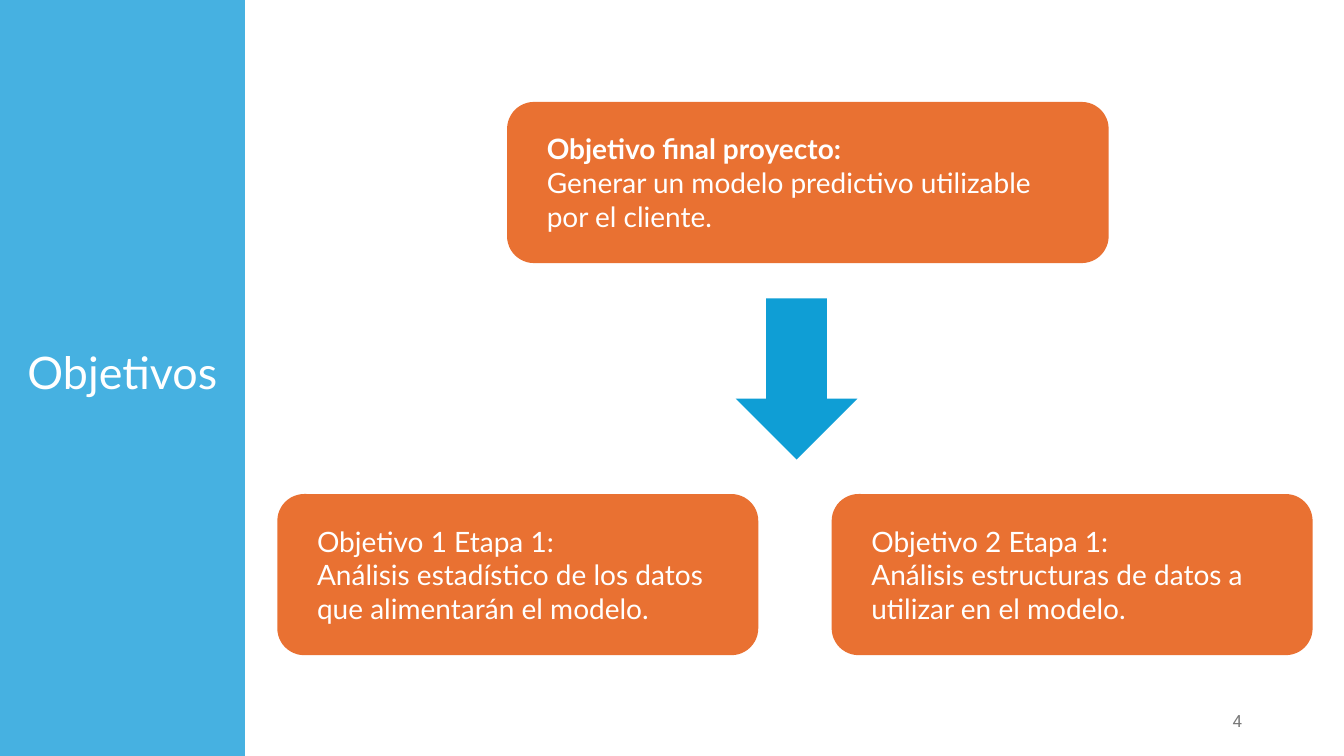
from pptx import Presentation
from pptx.dml.color import RGBColor
from pptx.enum import shapes, text
from pptx.util import Cm, Pt

TITLE = "Objetivos"
PAGE_NUMBER = "4"
WHITE, GREY = "FFFFFF", "797979"
PANEL_BLUE, ARROW_BLUE, ORANGE = "46B1E1", "0F9ED5", "E97132"

# Cards: heading, body, bold heading, left, top, width, text width (cm)
CARDS = [
    ("Objetivo final proyecto:",
     "Generar un modelo predictivo utilizable por el cliente.",
     True, 12.78, 2.57, 15.16, 13.67),
    ("Objetivo 1 Etapa 1:",
     "Análisis estadístico de los datos que alimentarán el modelo.",
     False, 6.99, 12.45, 12.12, 10.92),
    ("Objetivo 2 Etapa 1:",
     "Análisis estructuras de datos a utilizar en el modelo.",
     False, 20.96, 12.45, 12.12, 10.92),
]
SLIDE_W, SLIDE_H = 33.87, 19.05
PANEL_W = 6.17
CARD_H = 4.06
TEXT_DX, TEXT_DY, TEXT_H = 0.75, 0.63, 2.82


def color(hex_code):
    return RGBColor.from_string(hex_code)


def add_block(kind, left, top, width, height, fill):
    block = slide.shapes.add_shape(kind, Cm(left), Cm(top), Cm(width), Cm(height))
    block.shadow.inherit = False
    block.fill.solid()
    block.fill.fore_color.rgb = color(fill)
    block.line.fill.background()
    return block


def write(frame, lines, size=20, font="Lato", ink=WHITE, align=text.PP_ALIGN.LEFT,
          anchor=text.MSO_ANCHOR.TOP, bold_first=False, spacing=None):
    frame.word_wrap = True
    frame.auto_size = text.MSO_AUTO_SIZE.NONE
    frame.vertical_anchor = anchor
    for i, line in enumerate(lines):
        paragraph = frame.paragraphs[0] if i == 0 else frame.add_paragraph()
        paragraph.alignment = align
        paragraph.line_spacing = spacing
        run = paragraph.add_run()
        run.text = line
        run.font.size = Pt(size)
        run.font.name = font
        run.font.bold = bold_first and i == 0
        run.font.color.rgb = color(ink)


def add_text(left, top, width, height, lines, **style):
    box = slide.shapes.add_textbox(Cm(left), Cm(top), Cm(width), Cm(height))
    write(box.text_frame, lines, **style)


prs = Presentation()
prs.slide_width, prs.slide_height = Cm(SLIDE_W), Cm(SLIDE_H)
slide = prs.slides.add_slide(prs.slide_layouts[5])

# Side panel, placed behind the title
panel = add_block(shapes.MSO_SHAPE.RECTANGLE, 0, 0, PANEL_W, SLIDE_H, PANEL_BLUE)
title = slide.shapes.title
title._element.addprevious(panel._element)
title.left, title.top = Cm(0), Cm(7.7)
title.width, title.height = Cm(PANEL_W), Cm(3.5)
write(title.text_frame, [TITLE], size=32, align=text.PP_ALIGN.CENTER,
      anchor=text.MSO_ANCHOR.MIDDLE, spacing=0.9)

# Objective cards
for heading, body, bold, left, top, width, text_width in CARDS:
    add_block(shapes.MSO_SHAPE.ROUNDED_RECTANGLE, left, top, width, CARD_H, ORANGE)
    add_text(left + TEXT_DX, top + TEXT_DY, text_width, TEXT_H,
             [heading, body], bold_first=bold)

# Arrow from the final objective to the first stage
add_block(shapes.MSO_SHAPE.DOWN_ARROW, 18.54, 7.52, 3.07, CARD_H, ARROW_BLUE)

# Page number
add_text(23.93, 17.65, 7.62, 1.02, [PAGE_NUMBER], size=12, font="Roboto", ink=GREY,
         align=text.PP_ALIGN.RIGHT, anchor=text.MSO_ANCHOR.MIDDLE)

prs.save("out.pptx")
